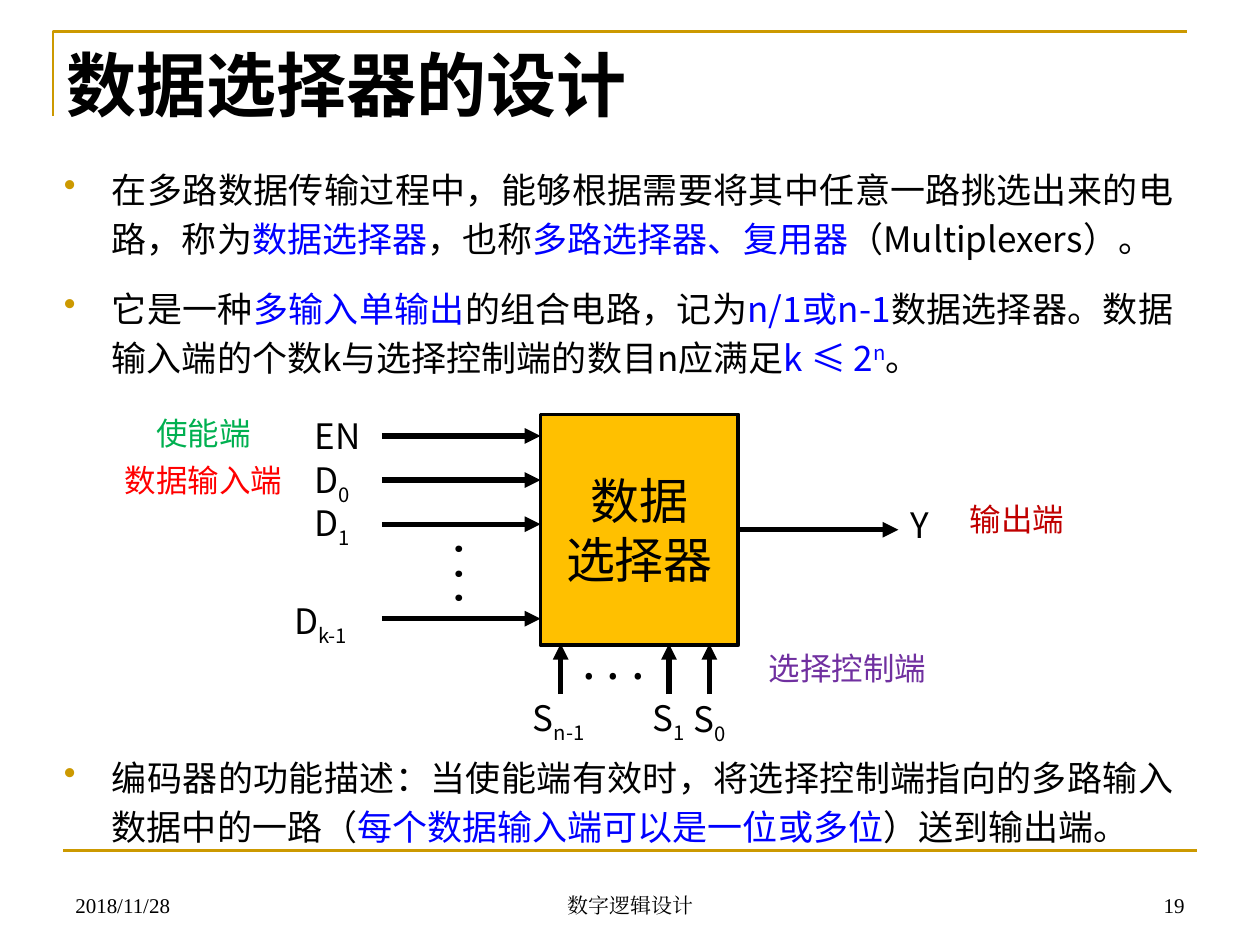
from lxml import etree
from pptx import Presentation, util as u
from pptx.dml.color import RGBColor
from pptx.enum import shapes, text
from pptx.oxml.ns import qn

BLACK = RGBColor(0, 0, 0)
GOLD = RGBColor(0xCC, 0x99, 0x00)
AMBER = RGBColor(0xFF, 0xC0, 0x00)
BLUE = RGBColor(0, 0, 0xFF)
RED = RGBColor(0xFF, 0, 0)
GREEN = RGBColor(0, 0xB0, 0x50)
PURPLE = RGBColor(0x70, 0x30, 0xA0)
DARK_RED = RGBColor(0xC0, 0, 0)
LEFT, CENTER, RIGHT, JUSTIFY = (
    text.PP_ALIGN.LEFT, text.PP_ALIGN.CENTER, text.PP_ALIGN.RIGHT, text.PP_ALIGN.JUSTIFY)
TOP, MIDDLE, BOTTOM = (
    text.MSO_ANCHOR.TOP, text.MSO_ANCHOR.MIDDLE, text.MSO_ANCHOR.BOTTOM)


class Board:
    """Draws styled elements on one slide, on a grid of 100 columns by 75 rows."""

    sans, serif = "Noto Sans CJK SC", "Times New Roman"

    def __init__(self, deck):
        self.slide = deck.slides.add_slide(deck.slide_layouts[6])
        self.shapes = self.slide.shapes
        self.column = deck.slide_width / 100
        self.row = deck.slide_height / 75

    def place(self, *lengths):
        units = (self.column, self.row) * 2
        return [u.Emu(round(n * unit)) for n, unit in zip(lengths, units)]

    def run(self, paragraph, words, size, color=BLACK, baseline=0, bold=False, font=sans):
        run = paragraph.add_run()
        run.text = words
        run.font.size, run.font.bold, run.font.name = u.Pt(size), bold, font
        run.font.color.rgb = color
        props = run.font._element
        etree.SubElement(props, qn("a:ea")).set("typeface", font)
        if baseline:
            props.set("baseline", str(baseline * 1000))

    def label(self, at, runs, size=20, align=LEFT, anchor=TOP, wrap=True, turn=0, **style):
        box = self.shapes.add_textbox(*self.place(*at))
        box.rotation = turn
        frame = box.text_frame
        frame.word_wrap, frame.vertical_anchor = wrap, anchor
        paragraph = frame.paragraphs[0]
        paragraph.alignment = align
        for words, *look in runs:
            self.run(paragraph, words, size, *look, **style)

    def bullets(self, at, items):
        frame = self.shapes.add_textbox(*self.place(*at)).text_frame
        frame.word_wrap = True
        for i, runs in enumerate(items):
            paragraph = frame.add_paragraph() if i else frame.paragraphs[0]
            paragraph.alignment = JUSTIFY
            paragraph.line_spacing, paragraph.space_before = u.Pt(28), u.Pt(12)
            props = paragraph._p.get_or_add_pPr()
            props.set("marL", str(u.Inches(0.38)))
            props.set("indent", str(-u.Inches(0.38)))
            tint = etree.SubElement(props, qn("a:buClr"))
            etree.SubElement(tint, qn("a:srgbClr")).set("val", str(GOLD))
            etree.SubElement(props, qn("a:buChar")).set("char", "•")
            for words, *look in runs:
                self.run(paragraph, words, 20, *look)

    def block(self, at, lines):
        block = self.shapes.add_shape(shapes.MSO_SHAPE.RECTANGLE, *self.place(*at))
        block.shadow.inherit = False
        block.fill.solid()
        block.fill.fore_color.rgb = AMBER
        block.line.color.rgb, block.line.width = BLACK, u.Pt(2.25)
        frame = block.text_frame
        frame.vertical_anchor = MIDDLE
        for i, words in enumerate(lines):
            paragraph = frame.add_paragraph() if i else frame.paragraphs[0]
            paragraph.alignment = CENTER
            self.run(paragraph, words, 28)
        return block

    def line(self, ends, color=BLACK, width=3, arrow=True):
        line = self.shapes.add_connector(shapes.MSO_CONNECTOR.STRAIGHT, *self.place(*ends))
        line.line.color.rgb, line.line.width = color, u.Pt(width)
        if arrow:
            stroke = line.line._get_or_add_ln()
            etree.SubElement(stroke, qn("a:tailEnd")).set("type", "triangle")
        etree.SubElement(line._element.spPr, qn("a:effectLst"))
        return line

    def corner(self, start, *points):
        builder = self.shapes.build_freeform(*self.place(*start))
        builder.add_line_segments([self.place(*p) for p in points], close=False)
        corner = builder.convert_to_shape()
        corner.shadow.inherit = False
        corner.fill.background()
        corner.line.color.rgb, corner.line.width = GOLD, u.Pt(1.5)


def main():
    deck = Presentation()
    deck.slide_width, deck.slide_height = u.Inches(10), u.Inches(7.5)
    board = Board(deck)

    board.corner((4.2, 9.2), (4.2, 2.5), (94.2, 2.5))
    board.line((5, 67.5, 95, 67.5), GOLD, 1.5, arrow=False)
    for left, width, words, align in ((5, 23.3, "2018/11/28", LEFT),
                                      (34.2, 31.7, "数字逻辑设计", CENTER),
                                      (71.7, 23.3, "19", RIGHT)):
        board.label((left, 68.3, width, 5), [(words,)], 12, align, BOTTOM, font=board.serif)
    board.label((4.3, 2.8, 77.2, 7.7), [("数据选择器的设计",)], 40, bold=True)

    board.bullets((4.1, 12.3, 90, 18.1), [
        [("在多路数据传输过程中，能够根据需要将其中任意一路挑选出来的电路，称为",),
         ("数据选择器", BLUE), ("，也称",), ("多路选择器、复用器", BLUE),
         ("（Multiplexers）。",)],
        [("它是一种",), ("多输入单输出", BLUE), ("的组合电路，记为",),
         ("n/1或n-1", BLUE),
         ("数据选择器。数据输入端的个数k与选择控制端的数目n应满足",),
         ("k ≤ 2", BLUE), ("n", BLUE, 30), ("。",)]])
    board.bullets((4.1, 59, 90, 8.5), [
        [("编码器的功能描述：当使能端有效时，将选择控制端指向的多路输入数据中的一路（",),
         ("每个数据输入端可以是一位或多位", BLUE), ("）送到输出端。",)]])

    selector = board.block((42.9, 32.9, 15.7, 18.3), ("数据", "选择器"))
    for y in (34.6, 38.1, 41.6, 49.1):
        board.line((30.3, y, 42.9, y))
    for x in (44.5, 53.1, 56.3):
        board.line((x, 55.1, x, 51.1))
    output = board.line((58.6, 42.05, 71.3, 42.05))
    output.begin_connect(selector, 3)

    for left, top, width, name, index, align in (
            (24, 32.4, 6.4, "EN", "", LEFT),
            (24, 35.9, 6.4, "D", "0", LEFT),
            (24, 39.3, 6.4, "D", "1", LEFT),
            (22.4, 47.1, 8, "D", "k-1", LEFT),
            (71.3, 39.5, 5.5, "Y", "", LEFT),
            (40.8, 54.8, 7.1, "S", "n-1", CENTER),
            (49.9, 54.8, 6.4, "S", "1", CENTER),
            (53.1, 54.9, 6.4, "S", "0", CENTER)):
        runs = [(name,)] + ([(index, BLACK, -25)] if index else [])
        board.label((left, top, width, 4.4), runs, align=align)

    for left, top, turn in ((34.3, 42.7, 90), (45.2, 49.5, 0)):
        board.label((left, top, 7, 5.7), [(". . .",)], 28, CENTER, MIDDLE, False, turn)

    for left, top, width, words, color in (
            (8.3, 32.4, 15.7, "使能端", GREEN),
            (8.3, 36.1, 15.7, "数据输入端", RED),
            (59.4, 51, 15.7, "选择控制端", PURPLE),
            (75.2, 39.2, 11, "输出端", DARK_RED)):
        board.label((left, top, width, 4), [(words, color)], 18, CENTER)

    deck.save("out.pptx")


if __name__ == "__main__":
    main()
